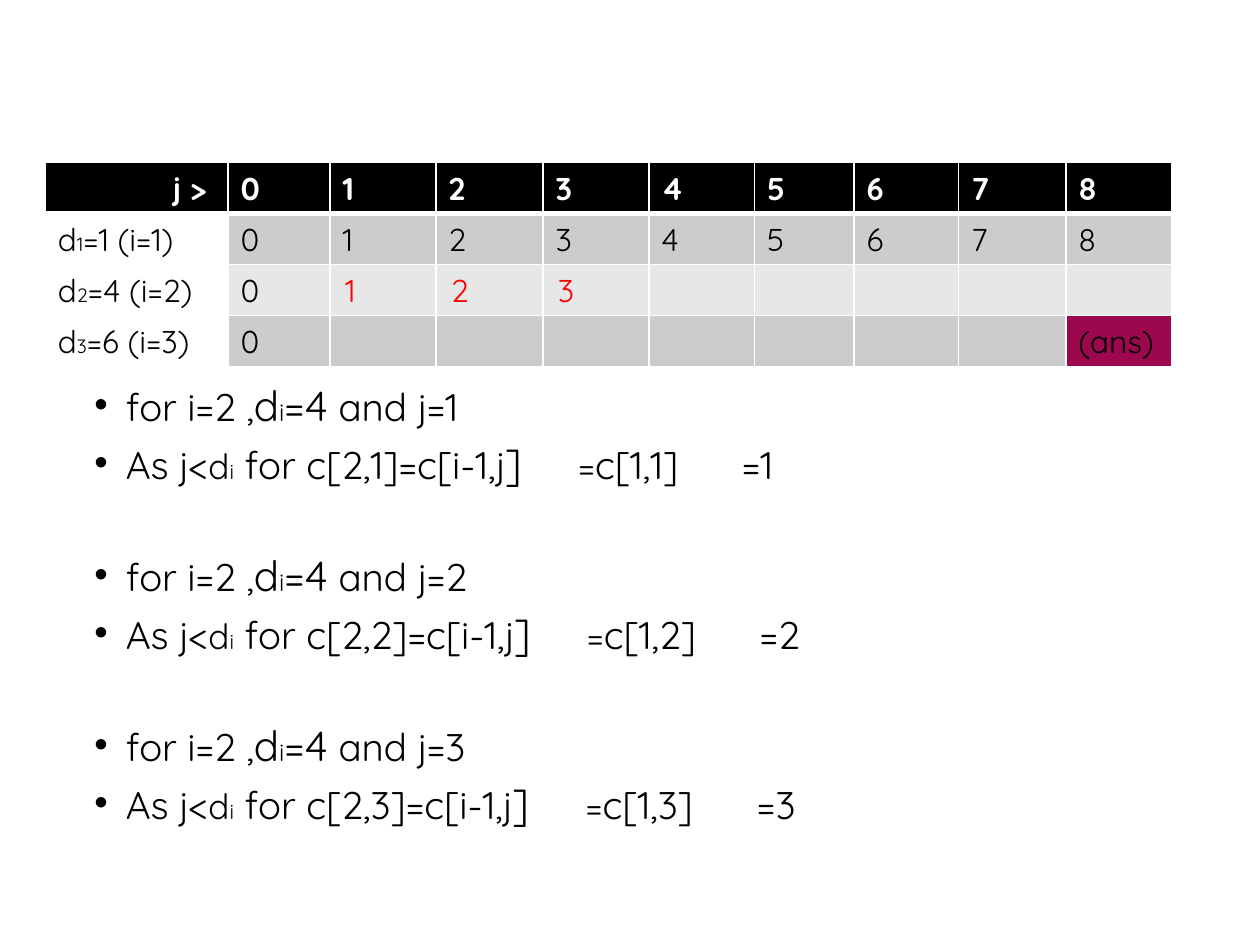
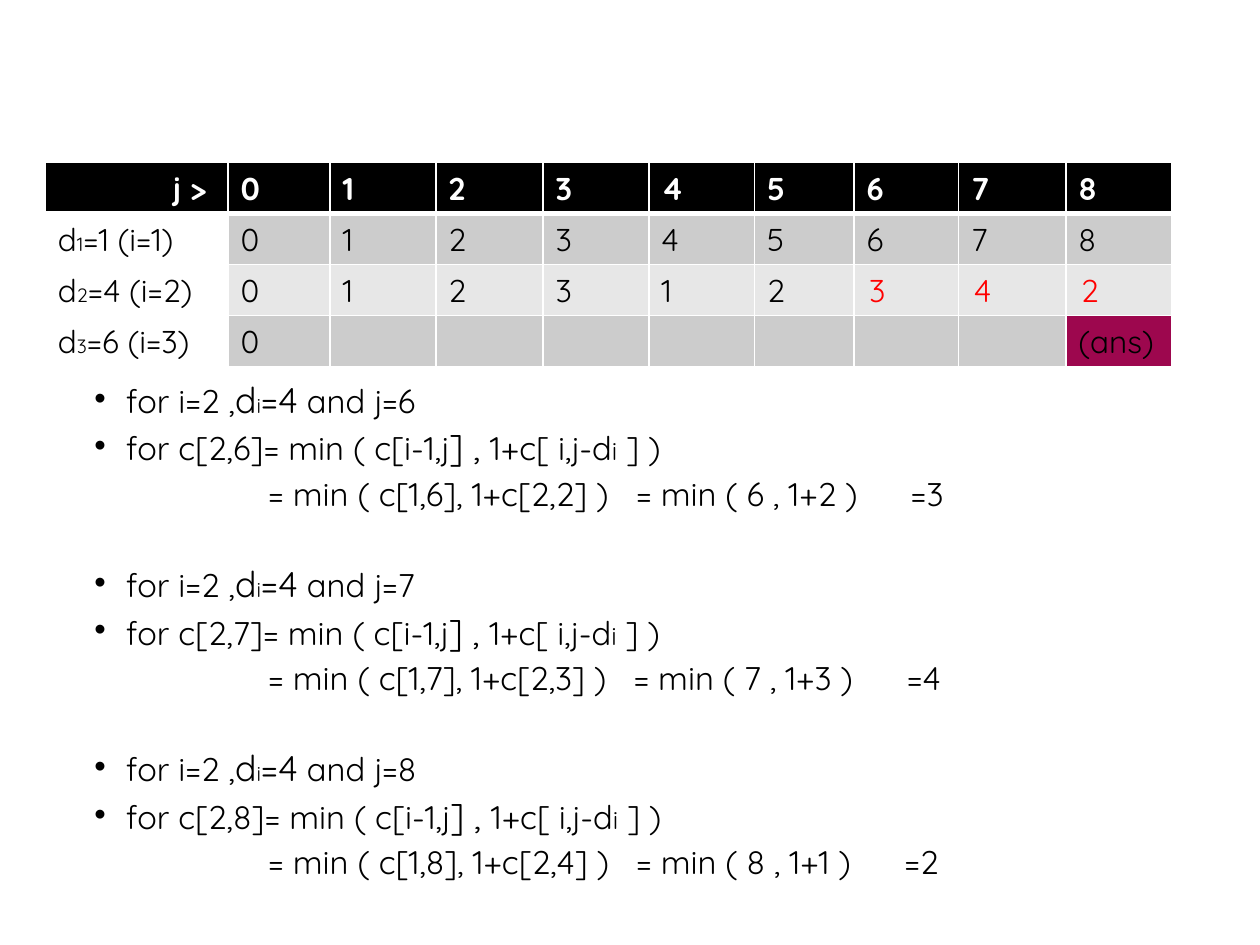
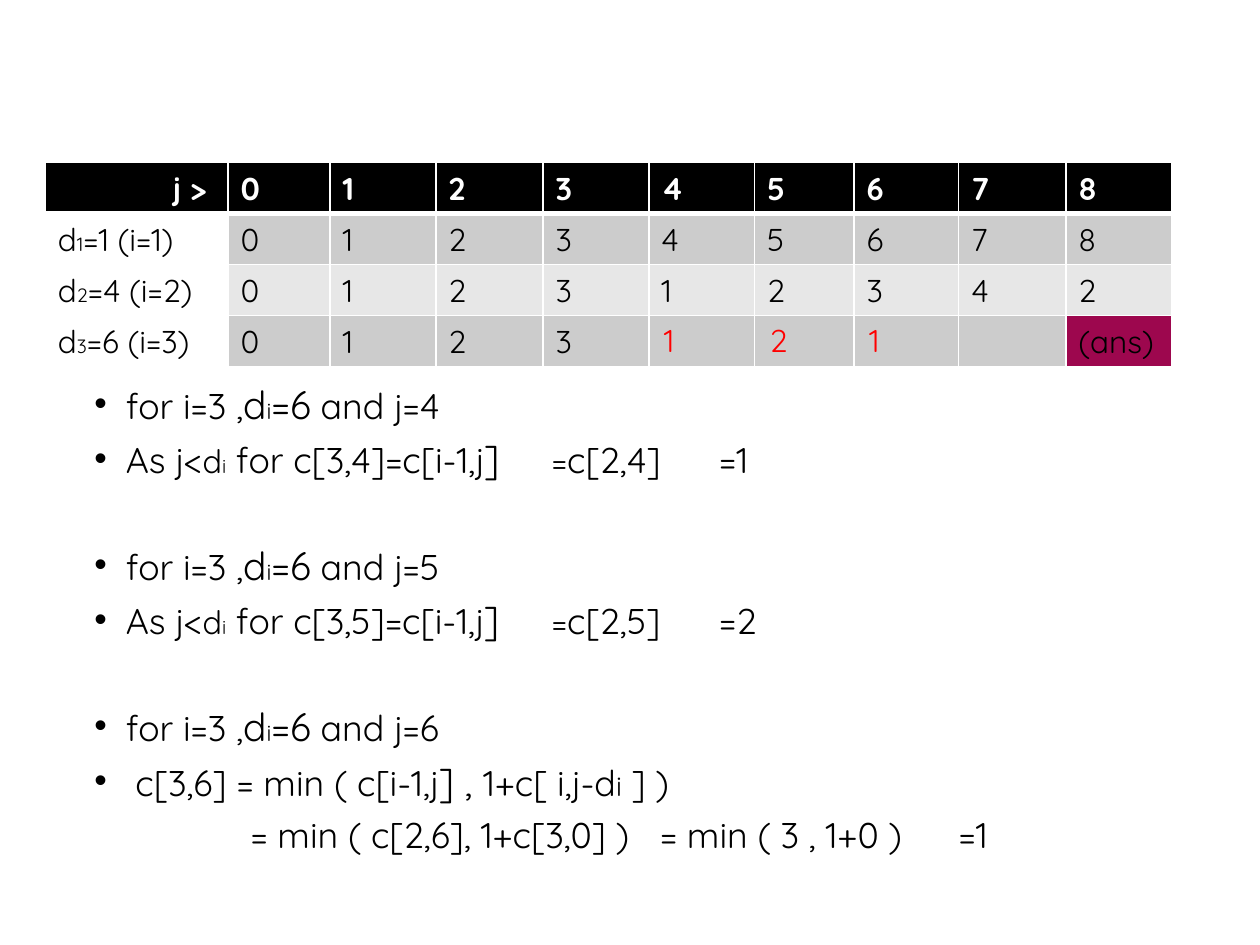
from dataclasses import dataclass

from lxml.etree import SubElement
from pptx import Presentation
from pptx.dml.color import RGBColor
from pptx.enum.text import MSO_AUTO_SIZE as AutoSize, PP_ALIGN as Align
from pptx.oxml.ns import qn
from pptx.util import Inches, Pt


@dataclass(frozen=True)
class Theme:
    font: str = "Quicksand"
    black: str = "000000"
    white: str = "FFFFFF"
    red: str = "FF0000"
    answer: str = "9D074E"
    bands: tuple = ("CCCCCC", "E7E7E7")
    table_size: float = 18
    table_subscript: float = 11
    body: float = 22
    large: float = 24
    small: float = 20
    subscript: float = 14
    low_subscript: float = 12
    high_subscript: float = 17
    paragraph_gap: float = 10


THEME = Theme()

# Table grid shared by every slide
TABLE_LEFT, TABLE_TOP, ROW_HEIGHT = 0.36, 1.29, 0.405
COLUMNS = [1.45, 0.81, 0.84, 0.85, 0.84, 0.84, 0.79, 0.83, 0.85, 0.84]
COINS = [1, 4, 6]


# Wording of the worked steps: lists of (text, size) runs
def case_line(i, j):
    return [(f"for i={i} ,", THEME.body), ("d", THEME.large), ("i", THEME.subscript),
            (f"={COINS[i - 1]}", THEME.large), (f" and j={j}", THEME.body)]


def copy_line(i, j, result):
    return [("As j<", THEME.body), ("d", THEME.small), ("i", THEME.low_subscript),
            (f" for c[{i},{j}]=c[i-1,j", THEME.body), ("]", THEME.large),
            ("\t=", THEME.small), (f"c[{i - 1},{j}]\t={result}", THEME.body)]


def min_line(start):
    return [(f"{start}= min ( c[i-1,j", THEME.body), ("] , ", THEME.large),
            ("1+c[ i,j-d", THEME.body), ("i", THEME.high_subscript), (" ] )", THEME.body)]


def values_line(i, j, above, before, result):
    rest = j - COINS[i - 1]
    return [(f"\t= min ( c[{i - 1},{j}], 1+c[{i},{rest}] )"
             f"\t= min ( {above} , 1+{before} )\t={result}", THEME.body)]


class Deck:
    def __init__(self, theme):
        self.theme = theme
        self.presentation = Presentation()
        self.presentation.slide_width = Inches(10)
        self.presentation.slide_height = Inches(7.5)
        self.slide = None

    def new_slide(self):
        self.slide = self.presentation.slides.add_slide(self.presentation.slide_layouts[6])

    def run(self, paragraph, text, size, color, bold=False):
        run = paragraph.add_run()
        run.text = text
        font = run.font
        font.name, font.size, font.bold = self.theme.font, Pt(size), bold
        font.color.rgb = RGBColor.from_string(color)

    def text_box(self, left, top, width, height):
        box = self.slide.shapes.add_textbox(*map(Inches, (left, top, width, height)))
        box.text_frame.word_wrap = True
        return box.text_frame

    def bullet(self, paragraph):
        properties = paragraph._p.get_or_add_pPr()
        properties.set("marL", str(Inches(0.25)))
        properties.set("indent", str(-Inches(0.25)))
        SubElement(properties, qn("a:buFont")).set("typeface", "Arial")
        SubElement(properties, qn("a:buChar")).set("char", "•")

    def tab_stops(self, paragraph, stops):
        tabs = SubElement(paragraph._p.get_or_add_pPr(), qn("a:tabLst"))
        for stop in stops:
            tab = SubElement(tabs, qn("a:tab"))
            tab.set("pos", str(Inches(stop)))
            tab.set("algn", "l")

    def steps(self, groups, height, scale, spacing, group_gap):
        """Each group is a list of (runs, tab stops, bulleted)."""
        frame = self.text_box(0.65, 3.04, 8.7, height)
        paragraph = None
        for group in groups:
            for number, (runs, stops, bulleted) in enumerate(group):
                opens_group = paragraph is not None and number == 0
                paragraph = frame.paragraphs[0] if paragraph is None else frame.add_paragraph()
                paragraph.line_spacing = spacing
                paragraph.space_before = Pt(group_gap if opens_group else self.theme.paragraph_gap)
                if bulleted:
                    self.bullet(paragraph)
                if stops:
                    self.tab_stops(paragraph, stops)
                for text, size in runs:
                    self.run(paragraph, text, round(size * scale, 1), self.theme.black)

    def cell(self, cell, runs, fill, color, header=False):
        properties = cell._tc.get_or_add_tcPr()
        for side in ("lnL", "lnR", "lnT", "lnB"):
            thick = (header and side == "lnB")
            line = SubElement(properties, qn(f"a:{side}"))
            line.set("w", str(Pt(3 if thick else 1)))
            solid = SubElement(line, qn("a:solidFill"))
            SubElement(solid, qn("a:srgbClr")).set("val", self.theme.white)
        cell.fill.solid()
        cell.fill.fore_color.rgb = RGBColor.from_string(fill)
        for text, size in runs:
            self.run(cell.text_frame.paragraphs[0], text, size, color, header)

    def coin_table(self, known):
        """Draw the header and one row of known counts per coin."""
        theme, size = self.theme, self.theme.table_size
        frame = self.slide.shapes.add_table(
            len(COINS) + 1, len(COLUMNS), Inches(TABLE_LEFT), Inches(TABLE_TOP),
            Inches(sum(COLUMNS)), Inches(ROW_HEIGHT * (len(COINS) + 1)))
        table = frame.table
        for column, width in zip(table.columns, COLUMNS):
            column.width = Inches(width)
        for row in table.rows:
            row.height = Inches(ROW_HEIGHT)

        for column in range(len(COLUMNS)):
            label = str(column - 1) if column else "j >"
            self.cell(table.cell(0, column), [(label, size)], theme.black, theme.white, True)
        corner = table.cell(0, 0)
        corner.margin_right = Inches(0.17)
        corner.text_frame.paragraphs[0].alignment = Align.RIGHT

        for i, (coin, counts) in enumerate(zip(COINS, known), start=1):
            label = [("d", size), (str(i), theme.table_subscript), (f"={coin} (i={i})", size)]
            self.cell(table.cell(i, 0), label, theme.white, theme.black)
            for j in range(len(COLUMNS) - 1):
                runs = [(str(counts[j]), size)] if j < len(counts) else []
                fill = theme.bands[(i - 1) % 2]
                if i == len(COINS) and j == len(COLUMNS) - 2:
                    runs, fill = [("(ans)", size)], theme.answer
                self.cell(table.cell(i, j + 1), runs, fill, theme.black)

    def new_counts(self, i, first_j, counts):
        """Place freshly found counts in red over row i."""
        for j, count in enumerate(counts, start=first_j):
            left = TABLE_LEFT + sum(COLUMNS[:j + 1]) + 0.02
            frame = self.text_box(left, 2.1 + 0.4 * (i - 2), 0.28, 0.4)
            frame.word_wrap = False
            frame.auto_size = AutoSize.SHAPE_TO_FIT_TEXT
            self.run(frame.paragraphs[0], str(count), self.theme.table_size, self.theme.red)


def main():
    deck = Deck(THEME)
    one_coin = list(range(9))
    two_coins = [0, 1, 2, 3, 1, 2, 3, 4, 2]

    # Second coin, j = 1 to 3
    deck.new_slide()
    copy_stops = [(3.84, 5.14), (3.91, 5.28), (3.9, 5.26)]
    deck.steps([[(case_line(2, j), (), True), (copy_line(2, j, j), stops, True)]
                for j, stops in enumerate(copy_stops, start=1)],
               height=3.82, scale=1, spacing=0.8, group_gap=41)
    deck.coin_table([one_coin, [0], [0]])
    deck.new_counts(2, 1, two_coins[1:4])

    # Second coin, j = 6 to 8
    deck.new_slide()
    value_stops = [(1.38, 4.3, 6.48), (1.38, 4.28, 6.45), (1.38, 4.3, 6.43)]
    deck.steps([[(case_line(2, j), (), True),
                 (min_line(f"for c[2,{j}]"), (), True),
                 (values_line(2, j, one_coin[j], two_coins[j - 4], two_coins[j]), stops, False)]
                for j, stops in enumerate(value_stops, start=6)],
               height=4.07, scale=0.85, spacing=0.7, group_gap=35.3)
    deck.coin_table([one_coin, two_coins[:6], [0]])
    deck.new_counts(2, 6, two_coins[6:])

    # Third coin, j = 4 to 6
    deck.new_slide()
    groups = [[(case_line(3, j), (), True),
               (copy_line(3, j, two_coins[j]), (3.63, 4.96), True)] for j in (4, 5)]
    groups.append([(case_line(3, 6), (), True),
                   (min_line(" c[3,6] "), (), True),
                   (values_line(3, 6, 3, 0, 1), (1.24, 4.49, 6.86), False)])
    deck.steps(groups, height=4.07, scale=0.925, spacing=0.8, group_gap=39.4)
    deck.coin_table([one_coin, two_coins, two_coins[:4]])
    deck.new_counts(3, 4, [1, 2, 1])

    deck.presentation.save("out.pptx")


if __name__ == "__main__":
    main()
